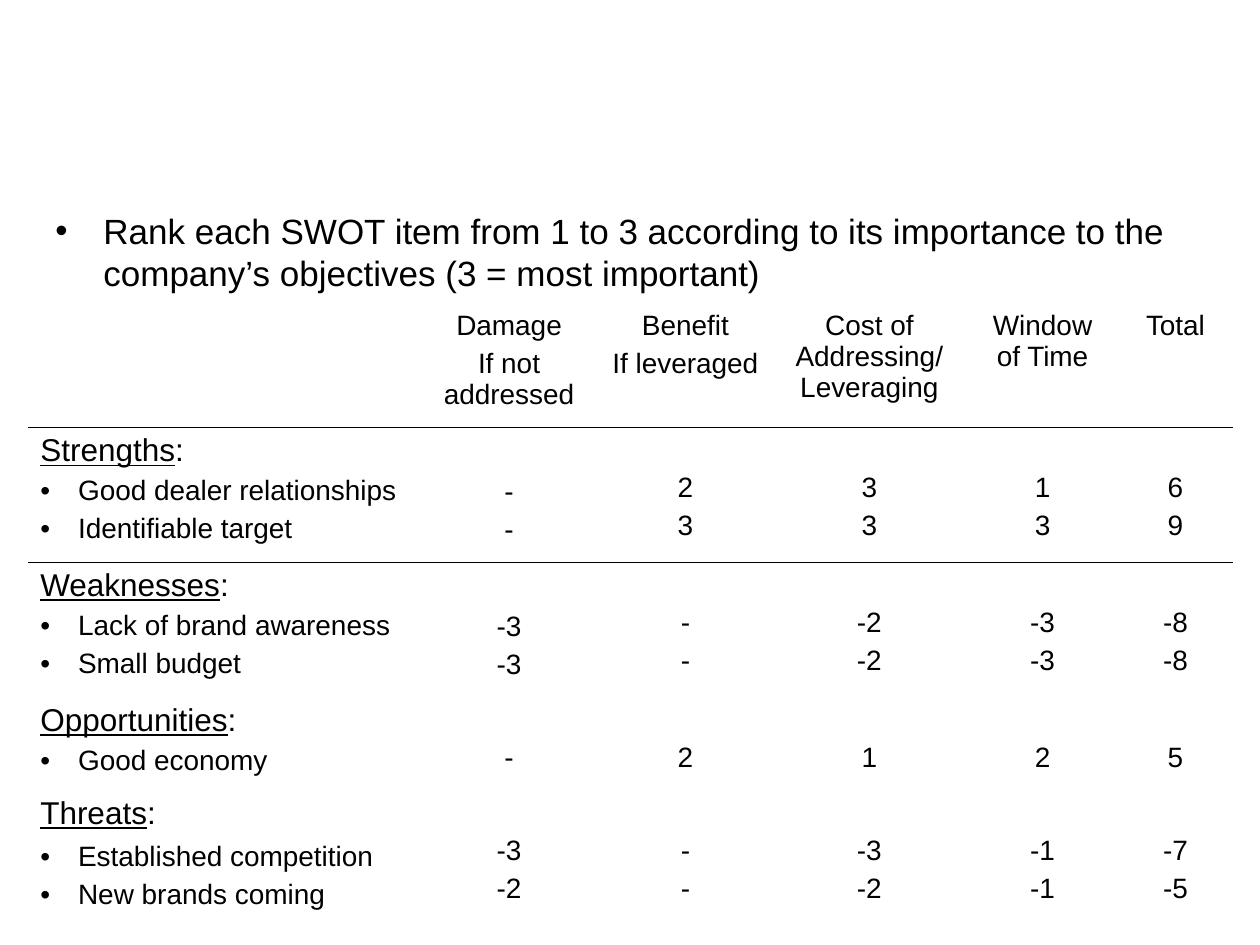
from lxml.etree import SubElement
from pptx import Presentation
from pptx.dml.color import RGBColor
from pptx.enum.text import MSO_ANCHOR, PP_ALIGN
from pptx.oxml.ns import qn
from pptx.util import Inches, Pt

BLACK, WHITE = "000000", "FFFFFF"
FONT = "Arial"
NO_STYLE = "{2D5ABB26-0587-4C30-8999-92F81FD0307C}"
COLS = [3.1, 1.44, 1.36, 1.56, 1.19, 0.92]
ROWS = [0.98, 1.07, 1.07, 0.74, 1.11]
HEAD_SIZE, ITEM_SIZE = 18, 16
GAP = 4

HEADERS = [
    ["Damage", "If not addressed"],
    ["Benefit", "If leveraged"],
    ["Cost of Addressing/ Leveraging"],
    ["Window of Time"],
    ["Total"],
]
# Group name, size of the skipped line above its damage scores,
# gap above its first item, and its items with their scores
GROUPS = [
    ("Strengths", HEAD_SIZE, GAP, [
        ("Good dealer relationships", ["-", "2", "3", "1", "6"]),
        ("Identifiable target", ["-", "3", "3", "3", "9"])]),
    ("Weaknesses", HEAD_SIZE, GAP, [
        ("Lack of brand awareness", ["-3", "-", "-2", "-3", "-8"]),
        ("Small budget", ["-3", "-", "-2", "-3", "-8"])]),
    ("Opportunities", ITEM_SIZE, GAP, [
        ("Good economy", ["-", "2", "1", "2", "5"])]),
    ("Threats", ITEM_SIZE, 5.5, [
        ("Established competition", ["-3", "-", "-3", "-1", "-7"]),
        ("New brands coming", ["-2", "-", "-2", "-1", "-5"])]),
]


def color(value):
    return RGBColor.from_string(value)


def add_run(p, text, size, underline=False):
    r = p.add_run()
    r.text = text
    r.font.name, r.font.size = FONT, Pt(size)
    r.font.color.rgb = color(BLACK)
    r.font.underline = underline


def next_paragraph(tf, gap=GAP):
    """Return the first paragraph while it is empty, else a new one."""
    p = tf.paragraphs[0]
    if p.runs:
        p = tf.add_paragraph()
    p.space_before = Pt(gap if len(tf.paragraphs) > 1 else 0)
    return p


def set_bullet(p, indent):
    pPr = p._p.get_or_add_pPr()
    pPr.set("marL", str(Inches(indent)))
    pPr.set("indent", str(-Inches(indent)))
    clr = SubElement(pPr, qn("a:buClr"))
    SubElement(clr, qn("a:srgbClr"), val=BLACK)
    SubElement(pPr, qn("a:buFont"), typeface=FONT)
    SubElement(pPr, qn("a:buChar"), char="•")


def set_border(cell, side):
    tcPr = cell._tc.get_or_add_tcPr()
    ln = tcPr.makeelement(qn(f"a:{side}"), {"w": str(Pt(0.34))})
    fill = SubElement(ln, qn("a:solidFill"))
    SubElement(fill, qn("a:srgbClr"), val=BLACK)
    tcPr.insert(0, ln)


def fill_centered(cell, lines, skipped=None):
    """Centre lines in a cell, starting below a skipped line of that size."""
    if skipped:
        cell.margin_top = Inches(0.05) + Pt(skipped * 1.15 + GAP)
    for line in lines:
        p = next_paragraph(cell.text_frame)
        p.alignment = PP_ALIGN.CENTER
        add_run(p, line, ITEM_SIZE)


def fill_group(cell, name, first_gap, items):
    tf = cell.text_frame
    p = next_paragraph(tf)
    add_run(p, name, HEAD_SIZE, underline=True)
    add_run(p, ":", HEAD_SIZE)
    for i, (item, _) in enumerate(items):
        p = next_paragraph(tf, GAP if i else first_gap)
        set_bullet(p, 0.3)
        add_run(p, item, ITEM_SIZE)


def add_instruction(s, left, top, width, height):
    body = s.placeholders[1]
    body.left, body.top = Inches(left), Inches(top)
    body.width, body.height = Inches(width), Inches(height)
    p = next_paragraph(body.text_frame)
    set_bullet(p, 0.38)
    add_run(p, "Rank each SWOT item from 1 to 3 according to its importance "
               "to the company’s objectives (3 = most important)", 20)


def add_ranking(s, left, top):
    frame = s.shapes.add_table(len(ROWS), len(COLS), Inches(left), Inches(top),
                               Inches(sum(COLS)), Inches(sum(ROWS)))
    table = frame.table
    table.first_row = table.horz_banding = False
    table._tbl.tblPr.find(qn("a:tableStyleId")).text = NO_STYLE
    for column, width in zip(table.columns, COLS):
        column.width = Inches(width)
    for row, height in zip(table.rows, ROWS):
        row.height = Inches(height)
    for cell in table.iter_cells():
        cell.fill.solid()
        cell.fill.fore_color.rgb = color(WHITE)
        cell.vertical_anchor = MSO_ANCHOR.TOP
    for c in range(len(COLS)):
        set_border(table.cell(0, c), "lnB")
        set_border(table.cell(1, c), "lnT")

    for c, lines in enumerate(HEADERS, 1):
        fill_centered(table.cell(0, c), lines)
    for r, (name, damage_skip, first_gap, items) in enumerate(GROUPS, 1):
        fill_group(table.cell(r, 0), name, first_gap, items)
        for c, scores in enumerate(zip(*(values for _, values in items)), 1):
            skipped = damage_skip if c == 1 else ITEM_SIZE
            fill_centered(table.cell(r, c), scores, skipped)


def main():
    prs = Presentation()
    prs.slide_width, prs.slide_height = Inches(10), Inches(7.5)
    s = prs.slides.add_slide(prs.slide_layouts[1])
    title = s.shapes.title._element
    title.getparent().remove(title)
    add_instruction(s, 0.34, 1.61, 9.02, 4.95)
    add_ranking(s, 0.22, 2.41)
    prs.save("out.pptx")


if __name__ == "__main__":
    main()
